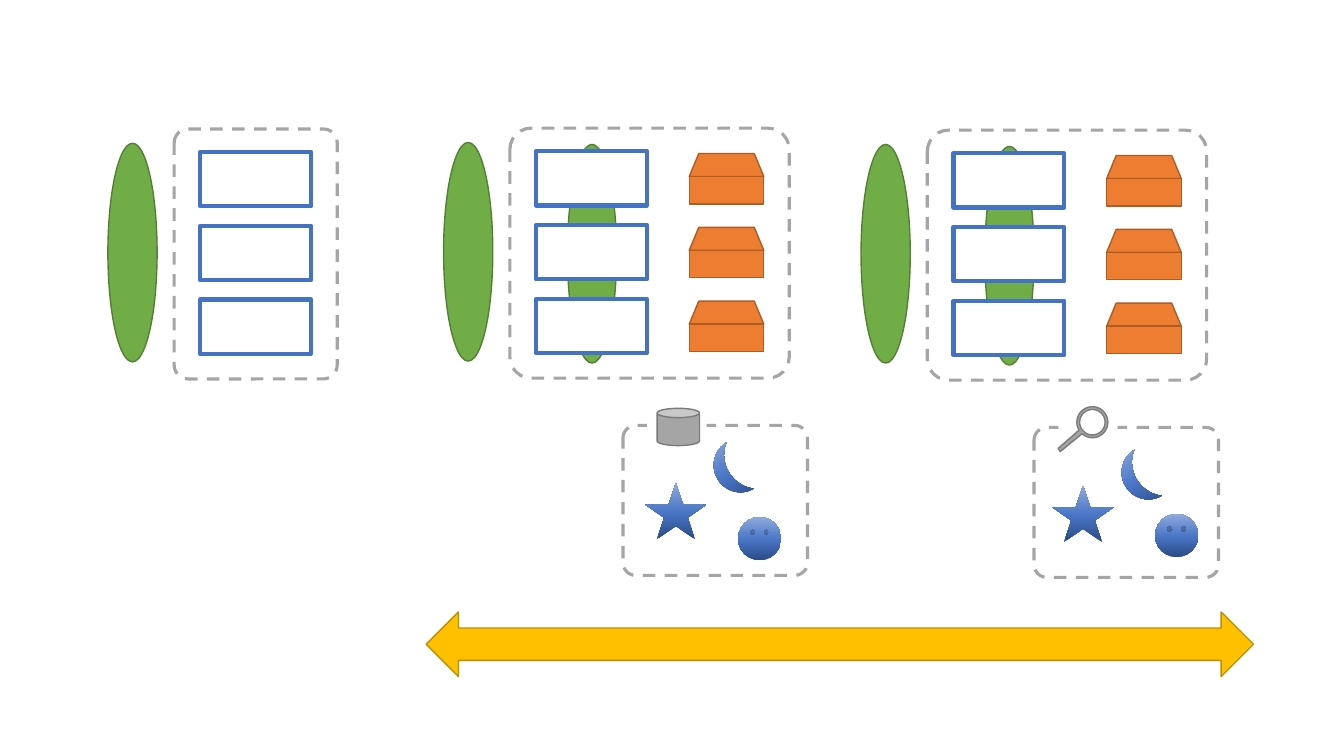
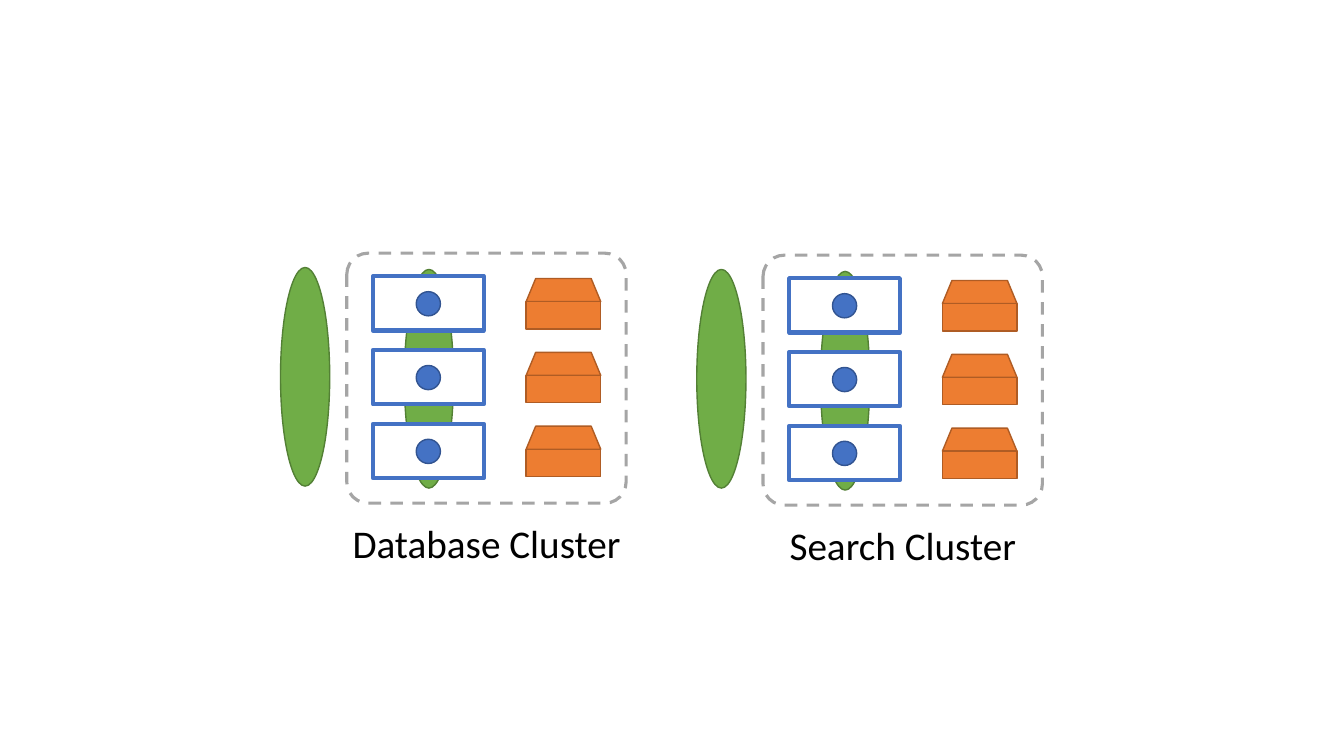
import copy
import dataclasses
import math

import pptx
import pptx.dml.color
import pptx.enum.dml
import pptx.enum.shapes
import pptx.enum.text
import pptx.oxml.ns
import pptx.util

KIND = pptx.enum.shapes.MSO_SHAPE
DASH = pptx.enum.dml.MSO_LINE.DASH


@dataclasses.dataclass(frozen=True)
class Style:
    fill: str = ""
    line: str = ""
    width: float = 1
    dash: object = None
    gradient: tuple = ()


@dataclasses.dataclass(frozen=True)
class Theme:
    network: Style = Style("70AD47", "538035")
    server: Style = Style("FFFFFF", "4472C4", 3)
    storage: Style = Style("ED7D31", "AF5C24")
    frame: Style = Style("", "A5A5A5", 2.25, DASH)
    gap: Style = Style("FFFFFF")
    tool: Style = Style("A5A5A5", "7A7A7A")
    arrow: Style = Style("FFC000", "BD8E00")
    dot: Style = Style("4472C4", "325491")
    data: Style = Style(gradient=((0, "2A4B86"), (0.48, "4A76C6"), (1, "8FAADC")))
    font: str = "Calibri"
    text: str = "000000"
    caption_size: int = 28


THEME = Theme()
ROWS = 3
PITCH = 1.86
CLUSTER_W, CLUSTER_H = 7.04, 6.3
POOL_W = 4.11
PANEL_W, PANEL_H = 4.65, 3.78


def rgb(value):
    return pptx.dml.color.RGBColor.from_string(value)


def set_all(target, values):
    for name, value in values.items():
        setattr(target, name, value)


def paint(sp, style):
    sp.shadow.inherit = False
    if style.gradient:
        sp.fill.gradient()
        stops = sp.element.find(".//" + pptx.oxml.ns.qn("a:gsLst"))
        stops.append(copy.deepcopy(stops[0]))
        for stop, (position, color) in zip(sp.fill.gradient_stops, style.gradient):
            stop.position = position
            stop.color.rgb = rgb(color)
        sp.fill.gradient_angle = 90
    elif style.fill:
        sp.fill.solid()
        sp.fill.fore_color.rgb = rgb(style.fill)
    else:
        sp.fill.background()
    if style.line:
        sp.line.color.rgb = rgb(style.line)
        set_all(sp.line, {"width": pptx.util.Pt(style.width), "dash_style": style.dash})
    else:
        sp.line.fill.background()


def add(shapes, kind, box, style, adj=None, rotation=0):
    sp = shapes.add_shape(kind, *map(pptx.util.Cm, box))
    paint(sp, style)
    if adj is not None:
        sp.adjustments[0] = adj
    sp.rotation = rotation
    return sp


def add_frame(shapes, x, y, w, h):
    add(shapes, KIND.ROUNDED_RECTANGLE, (x, y, w, h), THEME.frame, 0.085)


def add_servers(shapes, x, y):
    for row in range(ROWS):
        box = (x + 0.66, y + 0.58 + row * PITCH, 2.79, 1.37)
        add(shapes, KIND.RECTANGLE, box, THEME.server)


def add_network(shapes, x, y):
    add(shapes, KIND.OVAL, (x, y, 1.24, 5.51), THEME.network)


def add_storage(shapes, x, y):
    for row in range(ROWS):
        top = y + row * PITCH
        add(shapes, KIND.TRAPEZOID, (x, top, 1.88, 0.58), THEME.storage, 0.415)
        add(shapes, KIND.RECTANGLE, (x, top + 0.58, 1.88, 0.69), THEME.storage)


def add_pool(s, x, y):
    shapes = s.shapes.add_group_shape().shapes
    add_servers(shapes, x, y)
    add_network(shapes, x - 1.67, y + 0.36)
    add_frame(shapes, x, y, POOL_W, CLUSTER_H)


def add_cluster(s, x, y):
    shapes = s.shapes.add_group_shape().shapes
    add_network(shapes, x + 1.45, y + 0.41)
    add_servers(shapes, x, y)
    add_storage(shapes, x + 4.52, y + 0.64)
    add_network(shapes, x - 1.67, y + 0.36)
    add_frame(shapes, x, y, CLUSTER_W, CLUSTER_H)


def add_dots(s, x, y):
    for row in range(ROWS):
        box = (x + 1.75, y + 0.97 + row * PITCH, 0.61, 0.61)
        add(s.shapes, KIND.OVAL, box, THEME.dot)


def add_caption(s, x, y, text):
    box = (x - 0.15, y + 6.57, CLUSTER_W + 0.3, 1.45)
    tf = s.shapes.add_textbox(*map(pptx.util.Cm, box)).text_frame
    set_all(tf, {
        "word_wrap": False,
        "auto_size": pptx.enum.text.MSO_AUTO_SIZE.SHAPE_TO_FIT_TEXT,
    })
    p = tf.paragraphs[0]
    p.alignment = pptx.enum.text.PP_ALIGN.CENTER
    r = p.add_run()
    r.text = text
    set_all(r.font, {"name": THEME.font, "size": pptx.util.Pt(THEME.caption_size)})
    r.font.color.rgb = rgb(THEME.text)


def add_disk(s, x, y):
    add(s.shapes, KIND.CAN, (x + 0.86, y - 0.43, 1.07, 0.94), THEME.tool)


def add_magnifier(s, x, y):
    cx, cy = x + 1.47, y - 0.13

    def place(dx, dy):
        return pptx.util.Cm(cx + dx), pptx.util.Cm(cy + dy)

    def arc(radius, start, end, steps=60):
        angles = [math.radians(start + (end - start) * i / steps) for i in range(steps + 1)]
        return [place(radius * math.cos(a), radius * math.sin(a)) for a in angles]

    rim = arc(0.39, 149, 492) + [place(-0.81, 0.74), place(-0.86, 0.66)]
    lens = arc(0.32, 360, 0)
    builder = s.shapes.build_freeform(*rim[0])
    builder.add_line_segments(rim[1:])
    builder.move_to(*lens[0])
    builder.add_line_segments(lens[1:])
    paint(builder.convert_to_shape(), THEME.tool)


def add_panel(s, x, y, star, moon, face, add_tool):
    shapes = s.shapes.add_group_shape().shapes
    add_frame(shapes, x, y, PANEL_W, PANEL_H)
    add(shapes, KIND.RECTANGLE, (x + 0.61, y - 0.28, 1.5, 0.66), THEME.gap)
    for kind, (dx, dy), size, rotation in (
        (KIND.STAR_5_POINT, star, (1.55, 1.42), 0),
        (KIND.MOON, moon, (0.66, 1.35), 328.8),
        (KIND.SMILEY_FACE, face, (1.09, 1.09), 0),
    ):
        add(s.shapes, kind, (x + dx, y + dy, *size), THEME.data, rotation=rotation)
    add_tool(s, x, y)


def build_sync_slide(s):
    add_pool(s, 4.39, 3.25)
    add_cluster(s, 12.85, 3.23)
    add_cluster(s, 23.37, 3.28)
    add_panel(s, 15.7, 10.72, (0.56, 1.45), (2.34, 0.51), (2.9, 2.31), add_disk)
    add_panel(s, 26.06, 10.77, (0.46, 1.47), (2.26, 0.64), (3.05, 2.18), add_magnifier)
    add(s.shapes, KIND.LEFT_RIGHT_ARROW, (10.74, 15.42, 20.85, 1.63), THEME.arrow)


def build_clusters_slide(s):
    for x, y, name in ((8.74, 6.38, "Database Cluster"), (19.23, 6.43, "Search Cluster")):
        add_cluster(s, x, y)
        add_dots(s, x, y)
        add_caption(s, x, y, name)


def main():
    prs = pptx.Presentation()
    set_all(prs, {"slide_width": pptx.util.Cm(33.87), "slide_height": pptx.util.Cm(19.05)})
    for build in (build_sync_slide, build_clusters_slide):
        build(prs.slides.add_slide(prs.slide_layouts[6]))
    prs.save("out.pptx")


if __name__ == "__main__":
    main()
